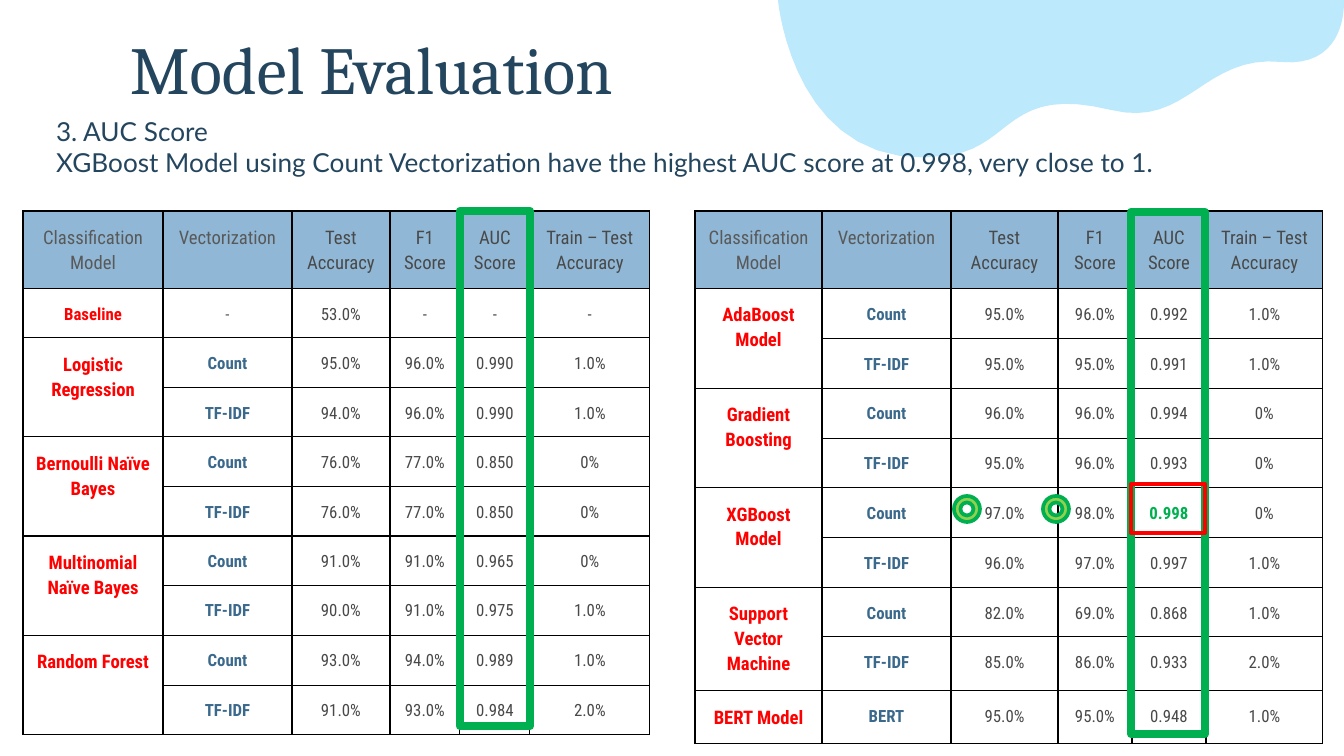
from pptx import Presentation
from pptx.dml.color import RGBColor
from pptx.enum.shapes import MSO_SHAPE
from pptx.enum.text import MSO_ANCHOR, PP_ALIGN
from pptx.oxml import parse_xml
from pptx.oxml.ns import nsdecls
from pptx.util import Pt

RECTANGLE, DONUT = MSO_SHAPE.RECTANGLE, MSO_SHAPE.DONUT
CENTER, TOP = PP_ALIGN.CENTER, MSO_ANCHOR.TOP
EMU_PER_PX = 914400 / 134.4
INSET = 13
CURVE_STEPS = 16
COLORS = {
    "sky": "BDE9FC", "navy": "23455E", "header": "90B8D6", "gray": "595959",
    "dark": "494949", "blue": "3B698C", "red": "FF0000", "green": "00B050",
    "lime": "92D050", "black": "000000",
}
HEADERS = ["Classification Model", "Vectorization", "Test Accuracy",
           "F1 Score", "AUC Score", "Train – Test Accuracy"]
LEFT_MODELS = [
    ("Baseline", ["- 53.0% - - -"]),
    ("Logistic Regression", ["Count 95.0% 96.0% 0.990 1.0%", "TF-IDF 94.0% 96.0% 0.990 1.0%"]),
    ("Bernoulli Naïve Bayes", ["Count 76.0% 77.0% 0.850 0%", "TF-IDF 76.0% 77.0% 0.850 0%"]),
    ("Multinomial Naïve Bayes", ["Count 91.0% 91.0% 0.965 0%", "TF-IDF 90.0% 91.0% 0.975 1.0%"]),
    ("Random Forest", ["Count 93.0% 94.0% 0.989 1.0%", "TF-IDF 91.0% 93.0% 0.984 2.0%"]),
]
RIGHT_MODELS = [
    ("AdaBoost Model", ["Count 95.0% 96.0% 0.992 1.0%", "TF-IDF 95.0% 95.0% 0.991 1.0%"]),
    ("Gradient Boosting", ["Count 96.0% 96.0% 0.994 0%", "TF-IDF 95.0% 96.0% 0.993 0%"]),
    ("XGBoost Model", ["Count 97.0% 98.0% 0.998 0%", "TF-IDF 96.0% 97.0% 0.997 1.0%"]),
    ("Support Vector Machine", ["Count 82.0% 69.0% 0.868 1.0%", "TF-IDF 85.0% 86.0% 0.933 2.0%"]),
    ("BERT Model", ["BERT 95.0% 95.0% 0.948 1.0%"]),
]
LEFT_COLUMNS = [140, 129, 98, 70, 70, 120]
RIGHT_COLUMNS = [127, 129, 107, 74, 74, 117]
LEFT_ROWS = [77, 49, 50, 49, 50, 49, 49, 50, 50, 49]
RIGHT_ROWS = [77, 50, 50, 50, 49, 50, 50, 49, 52, 53]
BEST_SCORE = "0.998"
BLOB_START = (778, 0)
BLOB_CURVES = [
    [(778, 0), (794, 181), (952, 155)],
    [(1013, 144), (1009, 85), (1111, 110)],
    [(1188, 129), (1203, 54), (1282, 62)],
    [(1340, 67), (1344, 16), (1344, 3)],
    [(1344, 1), (1344, 0), (1344, 0)],
]


def px(length):
    return round(length * EMU_PER_PX)


def rgb(color):
    return RGBColor.from_string(COLORS[color])


def style_paragraph(paragraph, font_name, size, color, bold=False):
    font = paragraph.font
    font.name, font.size, font.bold = font_name, Pt(size), bold
    font.color.rgb = rgb(color)


def set_insets(holder):
    holder.margin_left = holder.margin_right = px(INSET)
    holder.margin_top = holder.margin_bottom = px(INSET)


def add_text(slide, box, lines, font_name, size, indent=0, spacing=None):
    frame = slide.shapes.add_textbox(*map(px, box)).text_frame
    frame.word_wrap = True
    frame.vertical_anchor = TOP
    set_insets(frame)
    frame.text = "\n".join(lines)
    for paragraph in frame.paragraphs:
        style_paragraph(paragraph, font_name, size, "navy")
        paragraph.line_spacing = spacing
        paragraph._p.get_or_add_pPr().set("marL", str(px(indent)))


def curve_points(start, curves):
    for first, second, end in curves:
        for step in range(1, CURVE_STEPS + 1):
            t = step / CURVE_STEPS
            weights = ((1 - t) ** 3, 3 * t * (1 - t) ** 2, 3 * t * t * (1 - t), t ** 3)
            corners = (start, first, second, end)
            yield tuple(px(sum(w * corner[axis] for w, corner in zip(weights, corners)))
                        for axis in (0, 1))
        start = end


def add_blob(slide):
    builder = slide.shapes.build_freeform(*map(px, BLOB_START))
    builder.add_line_segments(list(curve_points(BLOB_START, BLOB_CURVES)), close=True)
    blob = builder.convert_to_shape()
    blob.shadow.inherit = False
    blob.fill.solid()
    blob.fill.fore_color.rgb = rgb("sky")
    blob.line.fill.background()


def add_borders(cell):
    properties = cell._tc.get_or_add_tcPr()
    for index, side in enumerate(("lnL", "lnR", "lnT", "lnB")):
        properties.insert(index, parse_xml(
            f'<a:{side} {nsdecls("a")} w="{Pt(0.75)}"><a:solidFill>'
            f'<a:srgbClr val="{COLORS["black"]}"/></a:solidFill></a:{side}>'))


def fill_cell(cell, text, size, color, bold=False):
    cell.text = text
    paragraph = cell.text_frame.paragraphs[0]
    paragraph.alignment = CENTER
    paragraph.line_spacing = 1.15
    style_paragraph(paragraph, "Roboto Condensed", size, color, bold)


def fill_result(cell, text, is_vectorization):
    if text == BEST_SCORE:
        fill_cell(cell, text, 9, "green", True)
    elif is_vectorization and text != "-":
        fill_cell(cell, text, 9, "blue", True)
    else:
        fill_cell(cell, text, 9, "gray" if is_vectorization else "dark")


def add_score_table(slide, left, top, columns, rows, models):
    table = slide.shapes.add_table(len(rows), len(columns), px(left), px(top),
                                   px(sum(columns)), px(sum(rows))).table
    table.first_row = table.horz_banding = False
    for column, width in zip(table.columns, columns):
        column.width = px(width)
    for row, height in zip(table.rows, rows):
        row.height = px(height)
    for cell in table.iter_cells():
        set_insets(cell)
        cell.fill.background()
        add_borders(cell)
    for index, header in enumerate(HEADERS):
        cell = table.cell(0, index)
        cell.fill.solid()
        cell.fill.fore_color.rgb = rgb("header")
        fill_cell(cell, header, 10, "gray" if index < 2 else "dark")
    row_index = 1
    for model, results in models:
        model_cell = table.cell(row_index, 0)
        if len(results) > 1:
            model_cell.merge(table.cell(row_index + len(results) - 1, 0))
        fill_cell(model_cell, model, 9 if model == "Baseline" else 10, "red", True)
        for result in results:
            for index, value in enumerate(result.split(), start=1):
                fill_result(table.cell(row_index, index), value, index == 1)
            row_index += 1


def add_marker(slide, preset, box, line_color, line_width, fill_color=None):
    marker = slide.shapes.add_shape(preset, *map(px, box))
    marker.shadow.inherit = False
    if fill_color:
        marker.fill.solid()
        marker.fill.fore_color.rgb = rgb(fill_color)
    else:
        marker.fill.background()
    marker.line.color.rgb = rgb(line_color)
    marker.line.width = Pt(line_width)


def main():
    presentation = Presentation()
    presentation.slide_width, presentation.slide_height = px(1344), px(756)
    slide = presentation.slides.add_slide(presentation.slide_layouts[6])
    add_blob(slide)
    add_text(slide, (117, 30, 628, 71), ["Model Evaluation"], "Cambria", 36, spacing=0.8)
    add_score_table(slide, 23, 211, LEFT_COLUMNS, LEFT_ROWS, LEFT_MODELS)
    add_score_table(slide, 695, 211, RIGHT_COLUMNS, RIGHT_ROWS, RIGHT_MODELS)
    add_text(slide, (22, 102, 1301, 258), [
        "3. AUC Score",
        "XGBoost Model using Count Vectorization have the highest AUC score at 0.998, "
        "very close to 1.",
    ], "Lato", 14, indent=21)
    add_marker(slide, RECTANGLE, (460, 211, 70, 515), "green", 4.5)
    add_marker(slide, RECTANGLE, (1131, 212, 74, 522), "green", 4.5)
    add_marker(slide, RECTANGLE, (1131, 484, 74, 49), "red", 2)
    for left in (954, 1043):
        add_marker(slide, DONUT, (left, 496, 26, 26), "green", 2, "lime")
    presentation.save("out.pptx")


if __name__ == "__main__":
    main()
